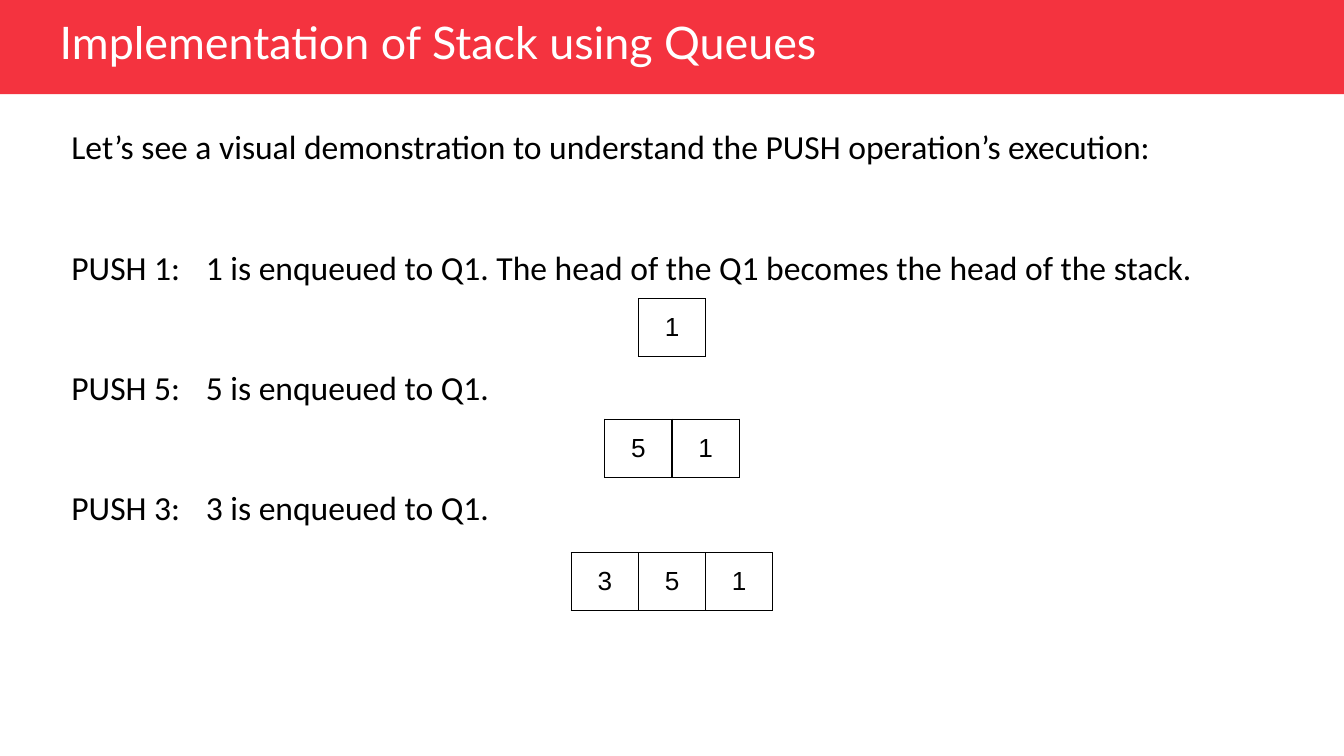
import pptx
import pptx.dml.color
import pptx.enum.shapes
import pptx.enum.text
import pptx.oxml
import pptx.oxml.ns
import pptx.util
from pptx.util import Cm

COLOURS = {"banner": "F4333F", "title": "FFFFFF", "text": "000000", "cell": "FFFFFF"}


def colour(name):
    return pptx.dml.color.RGBColor.from_string(COLOURS[name])


def add_span(para, text, font, size, shade="text"):
    span = para.add_run()
    span.text = text
    span.font.name = font
    span.font.size = pptx.util.Pt(size)
    span.font.color.rgb = colour(shade)


deck = pptx.Presentation()
deck.slide_width = Cm(25.4)
deck.slide_height = Cm(14.28)
page = deck.slides.add_slide(deck.slide_layouts[6])

# Banner
banner = page.shapes.add_shape(
    pptx.enum.shapes.MSO_SHAPE.RECTANGLE, 0, 0, deck.slide_width, Cm(1.78))
banner.shadow.inherit = False
banner.fill.solid()
banner.fill.fore_color.rgb = colour("banner")
banner.line.fill.background()

# Title
title_box = page.shapes.add_textbox(Cm(1.1), Cm(0.25), Cm(19.28), Cm(1.1))
title = title_box.text_frame
title.word_wrap = True
title.margin_left = Cm(0.03)
title.margin_top = Cm(0.03)
title.margin_right = title.margin_bottom = 0
add_span(title.paragraphs[0], "Implementation of Stack using Queues", "Lato", 24, "title")

# Explanation, with room under each step for its queue
steps = [
    "Let’s see a visual demonstration to understand the PUSH operation’s execution:",
    "PUSH 1:\t1 is enqueued to Q1. The head of the Q1 becomes the head of the stack.",
    "PUSH 5:\t5 is enqueued to Q1.",
    "PUSH 3:\t3 is enqueued to Q1.",
]
steps_box = page.shapes.add_textbox(Cm(1.1), Cm(2.13), Cm(23.2), Cm(8.2))
body = steps_box.text_frame
body.word_wrap = True
body.margin_left = body.margin_top = body.margin_right = body.margin_bottom = Cm(0.25)
for index, step in enumerate(steps):
    para = body.paragraphs[0] if index == 0 else body.add_paragraph()
    if index:
        para.space_before = pptx.util.Pt(42.9)
    add_span(para, step, "Calibri", 18)

# Queue after each push, centred on the page
cell_width, cell_height = Cm(1.27), Cm(1.09)
for values, top in (("1", 5.64), ("51", 7.92), ("351", 10.44)):
    width = cell_width * len(values)
    left = (deck.slide_width - width) // 2
    queue = page.shapes.add_table(
        1, len(values), left, Cm(top), width, cell_height).table
    queue.rows[0].height = cell_height
    for index, value in enumerate(values):
        queue.columns[index].width = cell_width
        cell = queue.cell(0, index)
        cell.vertical_anchor = pptx.enum.text.MSO_ANCHOR.MIDDLE
        cell.margin_left = cell.margin_right = Cm(0.25)
        cell.margin_top = cell.margin_bottom = Cm(0.25)
        para = cell.text_frame.paragraphs[0]
        para.alignment = pptx.enum.text.PP_ALIGN.CENTER
        add_span(para, value, "Arial", 14)
        # Borders come before the fill in the cell properties
        properties = cell._tc.get_or_add_tcPr()
        for side in ("lnL", "lnR", "lnT", "lnB"):
            properties.append(pptx.oxml.parse_xml(
                f'<a:{side} {pptx.oxml.ns.nsdecls("a")} w="9525"><a:solidFill>'
                f'<a:srgbClr val="{COLOURS["text"]}"/></a:solidFill></a:{side}>'))
        cell.fill.solid()
        cell.fill.fore_color.rgb = colour("cell")

deck.save("out.pptx")
